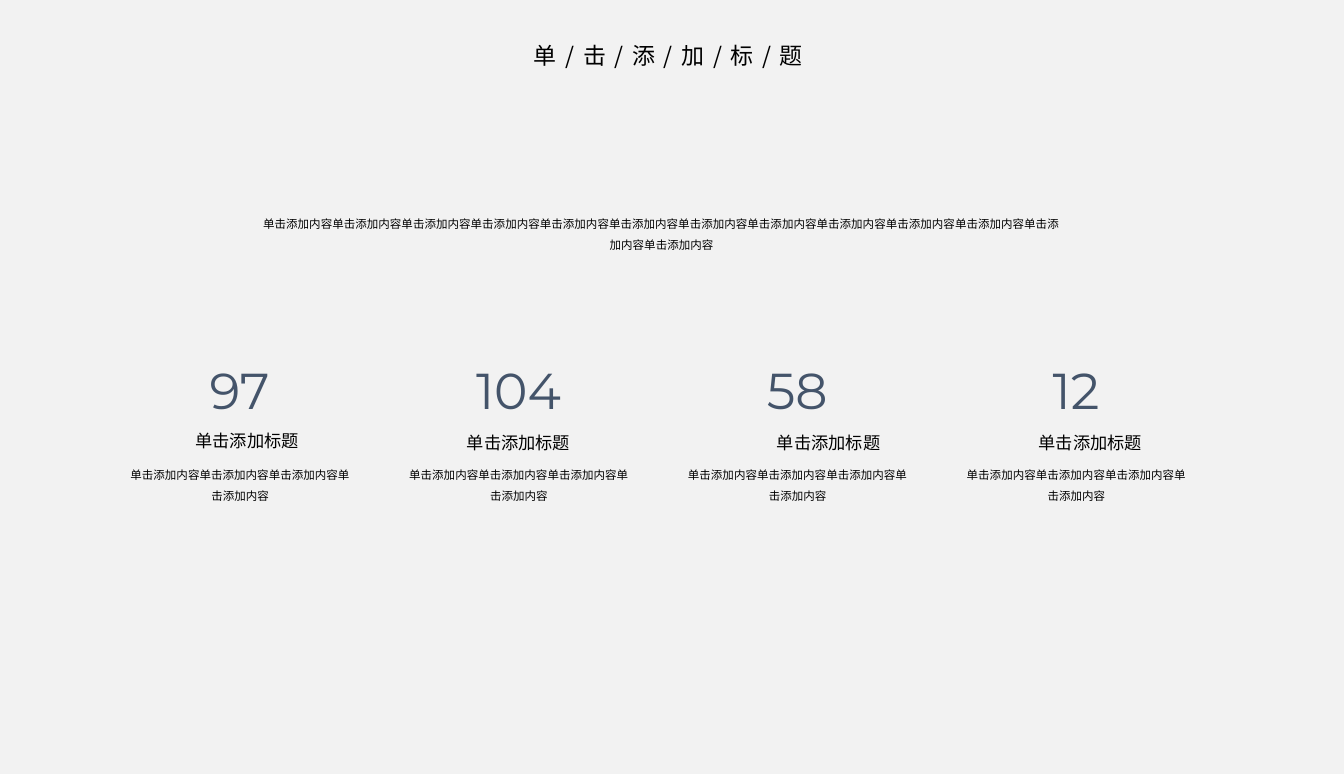
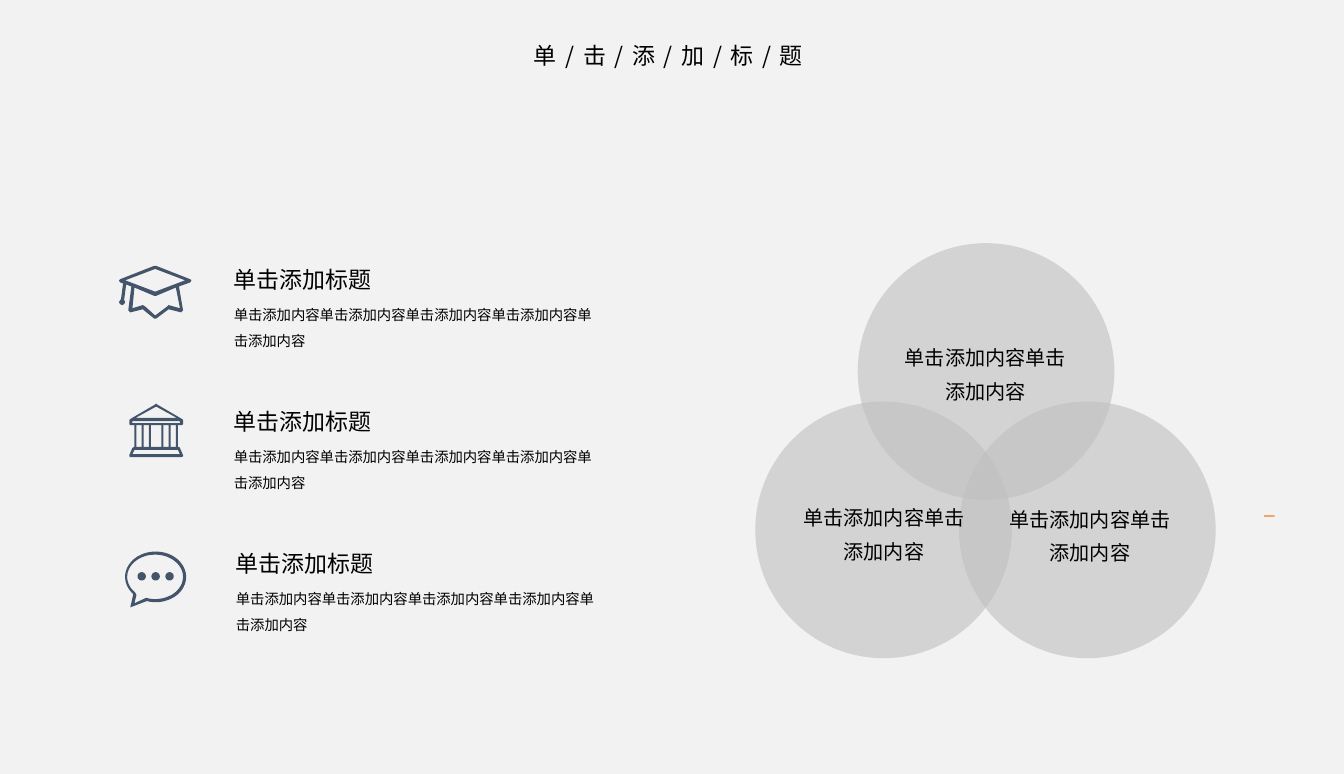
"""Build a figures slide and an icon list with a Venn diagram."""
import math

from lxml import etree
from pptx import Presentation
from pptx import util as u
from pptx.dml.color import RGBColor
from pptx.enum import shapes, text
from pptx.oxml import ns

PAPER = RGBColor(0xF2, 0xF2, 0xF2)
INK = RGBColor(0, 0, 0)
SLATE = RGBColor(0x44, 0x54, 0x6A)
GREY = RGBColor(0xBF, 0xBF, 0xBF)
ORANGE = RGBColor(0xED, 0x7D, 0x31)
CJK = "Noto Sans CJK SC"
LATIN = "Montserrat"
CENTER = text.PP_ALIGN.CENTER
LEFT = text.PP_ALIGN.LEFT
SHAPE = shapes.MSO_SHAPE
HEADING = "单击添加标题"
BODY = "单击添加内容"


def add_text(parent, box, words, size, align=CENTER, font=CJK, color=INK,
             leading=None, insets=(3.6, 1.8), tracking=None):
    """Add a wrapped text box holding one run."""
    sp = parent.add_textbox(*map(u.Pt, box))
    tf = sp.text_frame
    tf.word_wrap = True
    tf.margin_left = tf.margin_right = u.Pt(insets[0])
    tf.margin_top = tf.margin_bottom = u.Pt(insets[1])
    p = tf.paragraphs[0]
    p.alignment = align
    if leading:
        p.line_spacing = leading
    r = p.add_run()
    r.text = words
    r.font.size = u.Pt(size)
    r.font.name = font
    r.font.color.rgb = color
    props = r.font._element
    etree.SubElement(props, ns.qn("a:ea")).set("typeface", font)
    if tracking:
        props.set("spc", str(tracking * 100))
    return sp


def paint(sp, color, opacity=None):
    """Give a shape a plain fill with no line or shadow."""
    sp.shadow.inherit = False
    sp.fill.solid()
    sp.fill.fore_color.rgb = color
    sp.line.fill.background()
    if opacity:
        clr = sp._element.spPr.find(".//" + ns.qn("a:srgbClr"))
        etree.SubElement(clr, ns.qn("a:alpha")).set("val", str(opacity * 1000))


def add_block(parent, kind, box, color, opacity=None):
    """Add a filled preset shape."""
    paint(parent.add_shape(kind, *map(u.Pt, box)), color, opacity)


def rect(x1, y1, x2, y2):
    """Return the corners of a rectangle."""
    return [(x1, y1), (x2, y1), (x2, y2), (x1, y2)]


def arc(cx, cy, rx, ry, start=0, end=360):
    """Return points along an elliptical arc."""
    steps = 48
    angles = [math.radians(start + (end - start) * i / steps)
              for i in range(steps + 1)]
    return [(cx + rx * math.cos(a), cy + ry * math.sin(a)) for a in angles]


CAP = [
    [(70, 14), (69, 13), (36, 0), (34, 0), (1, 13), (0, 14), (1, 16), (4, 17),
     (2, 32), (0, 35), (1, 37), (3, 38), (5, 37), (6, 35), (5, 33), (7, 18),
     (12, 20), (9, 43), (11, 45), (23, 42), (34, 51), (36, 51), (48, 42),
     (60, 45), (62, 43), (58, 20), (69, 16)],
    [(35, 25), (6, 14), (35, 3), (64, 14)],
    [(59, 41), (48, 38), (47, 39), (35, 48), (25, 39), (23, 38), (13, 41),
     (15, 21), (34, 29), (36, 29), (55, 21)],
]
BANK = [
    [(51, 21), (52, 20), (52, 16), (51, 15), (27, 1), (26, 0), (25, 1),
     (1, 15), (0, 16), (0, 20), (1, 21), (5, 21), (5, 42), (3, 43), (0, 50),
     (0, 51), (1, 52), (51, 52), (52, 51), (52, 50), (49, 43), (48, 42),
     (47, 42), (47, 21)],
    [(26, 3), (46, 14), (6, 14)],
    rect(3, 17, 49, 19),
    *[rect(x1, 21, x2, 42)
      for x1, x2 in ((7, 12), (14, 19), (21, 31), (33, 38), (40, 45))],
    [(47, 45), (49, 49), (3, 49), (5, 45)],
]
SPEECH = [
    arc(29.5, 24.5, 29.5, 24.5, 137, 467) + [(5, 54)],
    arc(29, 24.5, 27, 21.5, 136, 469) + [(9, 50), (11, 42)],
    *[arc(x, 24, 4, 4) for x in (16, 29.5, 43)],
]


def add_icon(parent, left, top, contours):
    """Draw closed contours, in units of 0.72 pt, as one shape."""
    scaled = [[(round(x * 10), round(y * 10)) for x, y in c] for c in contours]
    pen = parent.build_freeform(*scaled[0][0], scale=u.Pt(0.072))
    for i, points in enumerate(scaled):
        if i:
            pen.move_to(*points[0])
        pen.add_line_segments(points[1:], close=True)
    paint(pen.convert_to_shape(u.Pt(left), u.Pt(top)), SLATE)


def new_slide(prs):
    """Add a blank slide with the shared title."""
    s = prs.slides.add_slide(prs.slide_layouts[6])
    sp = add_text(s.shapes, (139, 25.2, 652.3, 46.1), "单/击/添/加/标/题", 16,
                  insets=(7.2, 3.6), tracking=6)
    sp.text_frame.auto_size = text.MSO_AUTO_SIZE.SHAPE_TO_FIT_TEXT
    return s


def add_card(parent, left, top, number, number_width, heading, backed):
    """Place a number, a heading and a text in a 180 pt square."""
    if backed:
        add_block(parent, SHAPE.RECTANGLE, (left, top, 180, 180), PAPER)
    add_text(parent, (left + 88.6 - number_width / 2, top + 36, number_width, 51.1),
             number, 35.1, font=LATIN, color=SLATE)
    dx, dy, width, height = heading
    add_text(parent, (left + dx, top + dy, width, height), HEADING, 12)
    add_text(parent, (left + 6.8, top + 106.6, 164.2, 38.9), BODY * 4, 8, leading=1.5)


def figures_slide(prs):
    """Build the slide with four figures."""
    s = new_slide(prs)
    add_text(s.shapes, (179.3, 144.7, 562.3, 35.3), BODY * 13, 8, leading=1.5)
    cards = [("97", 60, (43.5, 85, 100.8, 10.1)),
             ("104", 82, (48.2, 86.4, 81, 20.2)),
             ("58", 60, (66.6, 86.4, 87.8, 15.8)),
             ("12", 51, (49.7, 86.4, 97.9, 15.8))]
    for i, (number, width, heading) in enumerate(cards):
        add_card(s.shapes, 78.2 + 194 * i, 212.4, number, width, heading, i > 0)


def add_venn(parent, left, top):
    """Place three overlapping circles with their texts."""
    for x, y in ((0, 110.2), (71.3, 0), (141.8, 110.2)):
        add_block(parent, SHAPE.OVAL, (left + x, top + y, 178.6, 178.6), GREY, 60)
    add_block(parent, SHAPE.ROUNDED_RECTANGLE,
              (left + 354.2, top + 189.4, 7.2, 0.9), ORANGE)
    for x, y in ((97.2, 62.6), (169.9, 175), (26.6, 174.2)):
        add_text(parent, (left + x, top + y, 126, 49.7), BODY * 2, 14, leading=1.4)


def add_item(parent, left, top):
    """Place a heading over its text."""
    add_text(parent, (left, top, 200.9, 22.3), HEADING, 16, LEFT)
    add_text(parent, (left, top + 22.3, 261.4, 38.9), BODY * 5, 10, LEFT, leading=1.5)


def venn_slide(prs):
    """Build the slide with an icon list and a Venn diagram."""
    s = new_slide(prs)
    add_venn(s.shapes.add_group_shape().shapes, 525.6, 169.2)
    items = s.shapes.add_group_shape().shapes
    rows = [(CAP, 82.8, 2.1, 159.1), (BANK, 90, -1.1, 159.1),
            (SPEECH, 87.1, 2.9, 160.6)]
    for i, (icon, icon_left, icon_drop, text_left) in enumerate(rows):
        top = 182.9 + 99 * i
        add_icon(items, icon_left, top + icon_drop, icon)
        add_item(items, text_left, top)


def main():
    """Build and save the presentation."""
    prs = Presentation()
    prs.slide_width, prs.slide_height = u.Pt(935.3), u.Pt(538.6)
    fill = prs.slide_master.background.fill
    fill.solid()
    fill.fore_color.rgb = PAPER
    figures_slide(prs)
    venn_slide(prs)
    prs.save("out.pptx")


if __name__ == "__main__":
    main()
